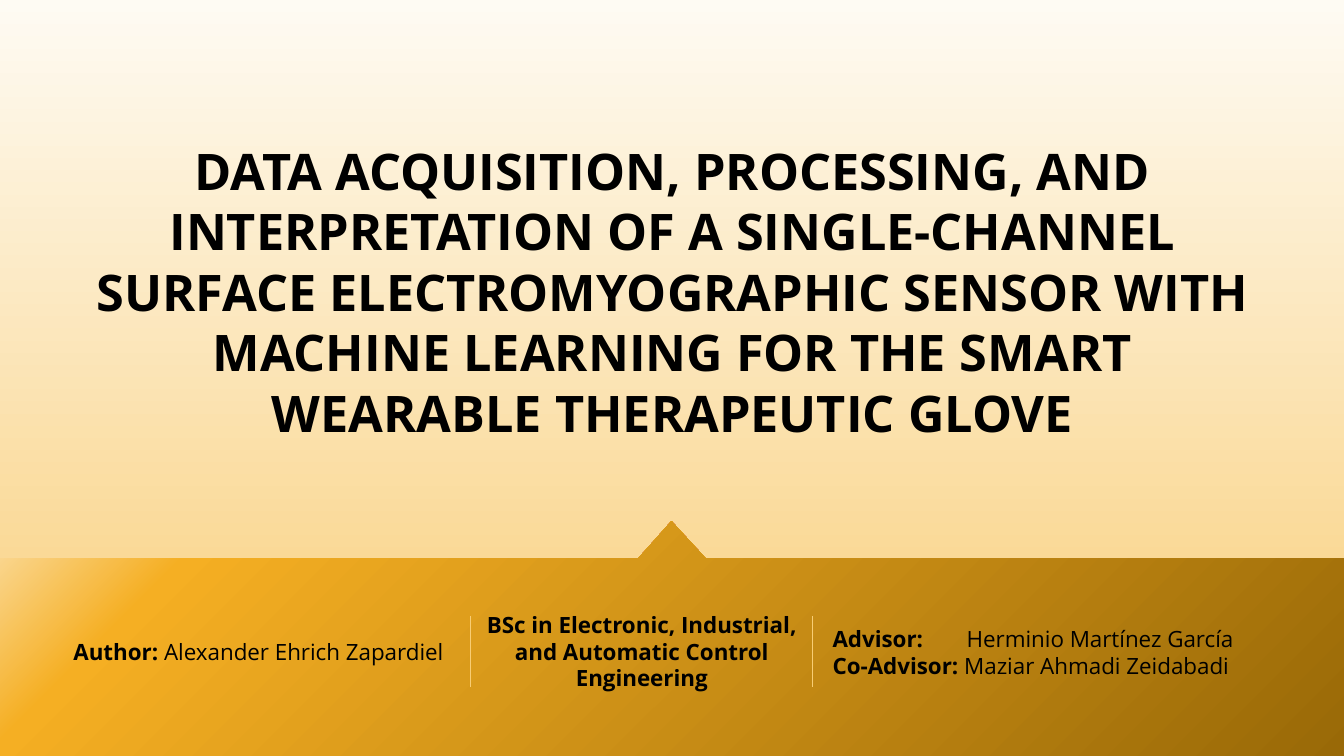
from lxml import etree
from pptx import Presentation
from pptx.dml.color import RGBColor
from pptx.enum.shapes import MSO_CONNECTOR
from pptx.enum.text import MSO_AUTO_SIZE, PP_ALIGN
from pptx.oxml.ns import qn
from pptx.util import Inches, Pt

FONT = "Open Sans"
LINE_HEIGHT = 1.2
COLORS = {"text": "000000", "divider": "F8CD74"}
SKY = [(0, "FEFBF3"), (74, "FAD997"), (83, "FAD997"), (100, "FCE6B9")]
GOLD = [(0, "FBDDA2"), (14, "F5AF23"), (100, "996907")]
# Outline of the footer band with its central peak, in inches
BAND = [(6.66, 5.17), (7, 5.54), (13.33, 5.54), (13.33, 7.5),
        (0, 7.5), (0, 5.54), (6.33, 5.54)]


def set_gradient(fill, owner, stops, clockwise_angle):
    fill.gradient()
    fill.gradient_angle = 360 - clockwise_angle
    stop_list = next(owner.iter(qn("a:gsLst")))
    for stop in list(stop_list):
        stop_list.remove(stop)
    for percent, color in stops:
        stop = etree.SubElement(stop_list, qn("a:gs"), pos=str(percent * 1000))
        etree.SubElement(stop, qn("a:srgbClr"), val=color)


def add_band(slide):
    points = [(Inches(x), Inches(y)) for x, y in BAND]
    builder = slide.shapes.build_freeform(*points[0])
    builder.add_line_segments(points[1:], close=True)
    band = builder.convert_to_shape()
    band.shadow.inherit = False
    band.line.fill.background()
    set_gradient(band.fill, band.element, GOLD, 45)


def add_text(slide, left, top, width, height, size, lines, align=PP_ALIGN.LEFT, tab=None):
    """Each line is a bold part, optionally followed by a regular part."""
    box = slide.shapes.add_textbox(Inches(left), Inches(top), Inches(width), Inches(height))
    frame = box.text_frame
    frame.word_wrap = True
    frame.auto_size = MSO_AUTO_SIZE.SHAPE_TO_FIT_TEXT
    for index, parts in enumerate(lines):
        paragraph = frame.paragraphs[0] if index == 0 else frame.add_paragraph()
        paragraph.alignment = align
        paragraph.line_spacing = Pt(size * LINE_HEIGHT)
        if tab:
            tabs = etree.SubElement(paragraph._p.get_or_add_pPr(), qn("a:tabLst"))
            etree.SubElement(tabs, qn("a:tab"), pos=str(Inches(tab)), algn="l")
        for position, part in enumerate(parts):
            run = paragraph.add_run()
            run.text = part
            run.font.name = FONT
            run.font.size = Pt(size)
            run.font.bold = position == 0
            run.font.color.rgb = RGBColor.from_string(COLORS["text"])


def add_divider(slide, x):
    divider = slide.shapes.add_connector(
        MSO_CONNECTOR.STRAIGHT, Inches(x), Inches(6.11), Inches(x), Inches(6.82))
    divider.line.color.rgb = RGBColor.from_string(COLORS["divider"])
    divider.line.width = Pt(0.75)
    etree.SubElement(divider.element.spPr, qn("a:effectLst"))


def main():
    deck = Presentation()
    deck.slide_width, deck.slide_height = Inches(13.33), Inches(7.5)
    slide = deck.slides.add_slide(deck.slide_layouts[6])

    # Background and footer band
    set_gradient(slide.background.fill, slide.element, SKY, 90)
    add_band(slide)

    # Title
    add_text(slide, 0.63, 1.34, 12.08, 3.13, 36, [[
        "DATA ACQUISITION, PROCESSING, AND INTERPRETATION OF A SINGLE-CHANNEL "
        "SURFACE ELECTROMYOGRAPHIC SENSOR WITH MACHINE LEARNING FOR THE SMART "
        "WEARABLE THERAPEUTIC GLOVE"]], PP_ALIGN.CENTER)

    # Author, degree and advisors
    add_text(slide, 0.63, 6.28, 3.94, 0.37, 16, [["Author: ", "Alexander Ehrich Zapardiel"]])
    add_text(slide, 4.67, 6.01, 3.39, 0.91, 16, [[
        "BSc in Electronic, Industrial, and Automatic Control Engineering"]], PP_ALIGN.CENTER)
    add_text(slide, 8.16, 6.15, 5.04, 0.64, 16, [
        ["Advisor: \t", "Herminio Martínez García"],
        ["Co-Advisor: ", "Maziar Ahmadi Zeidabadi"]], tab=1.33)
    for x in (4.67, 8.06):
        add_divider(slide, x)

    deck.save("out.pptx")


if __name__ == "__main__":
    main()
